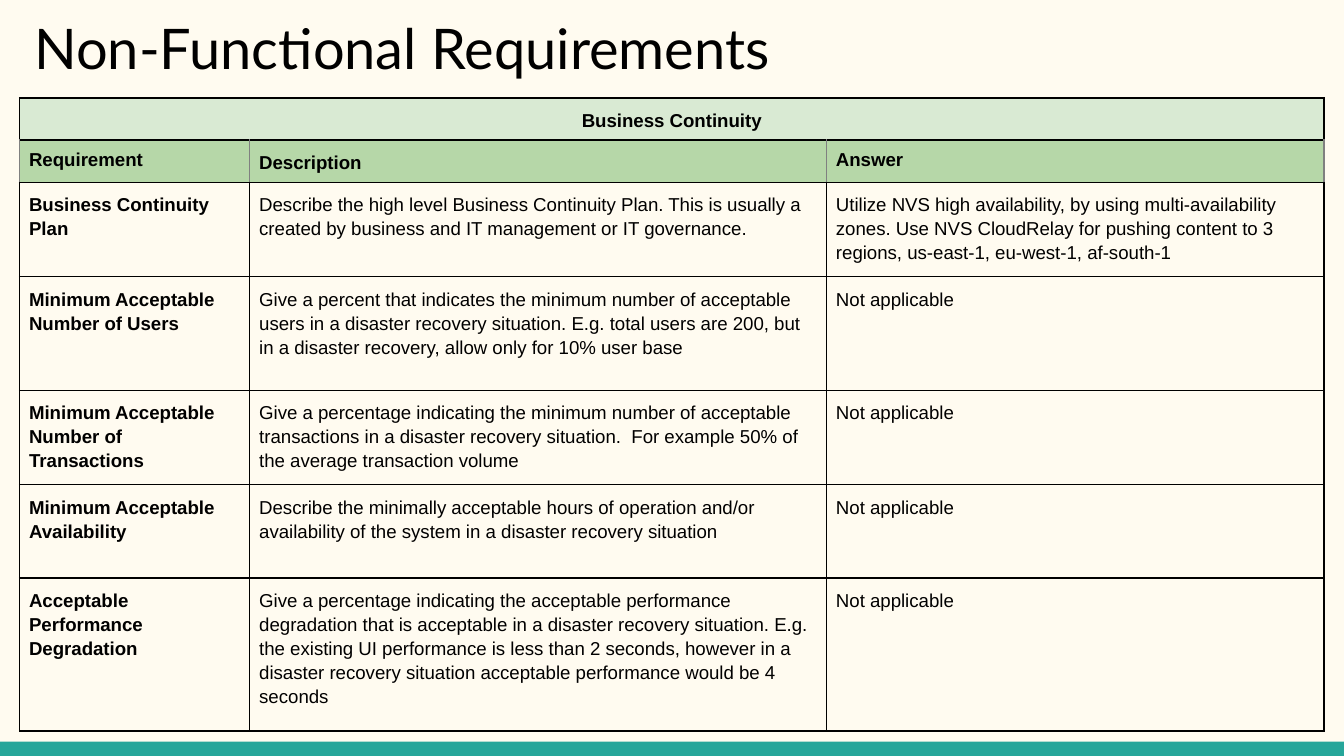
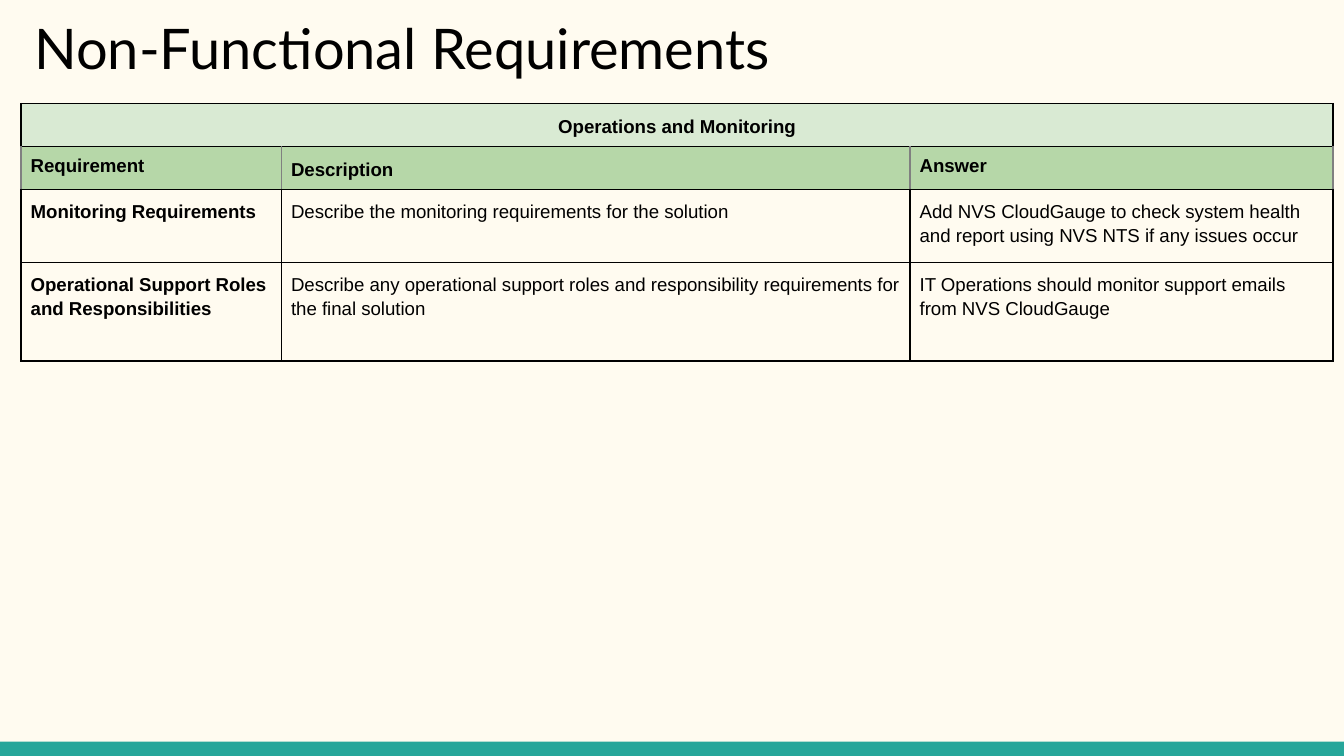
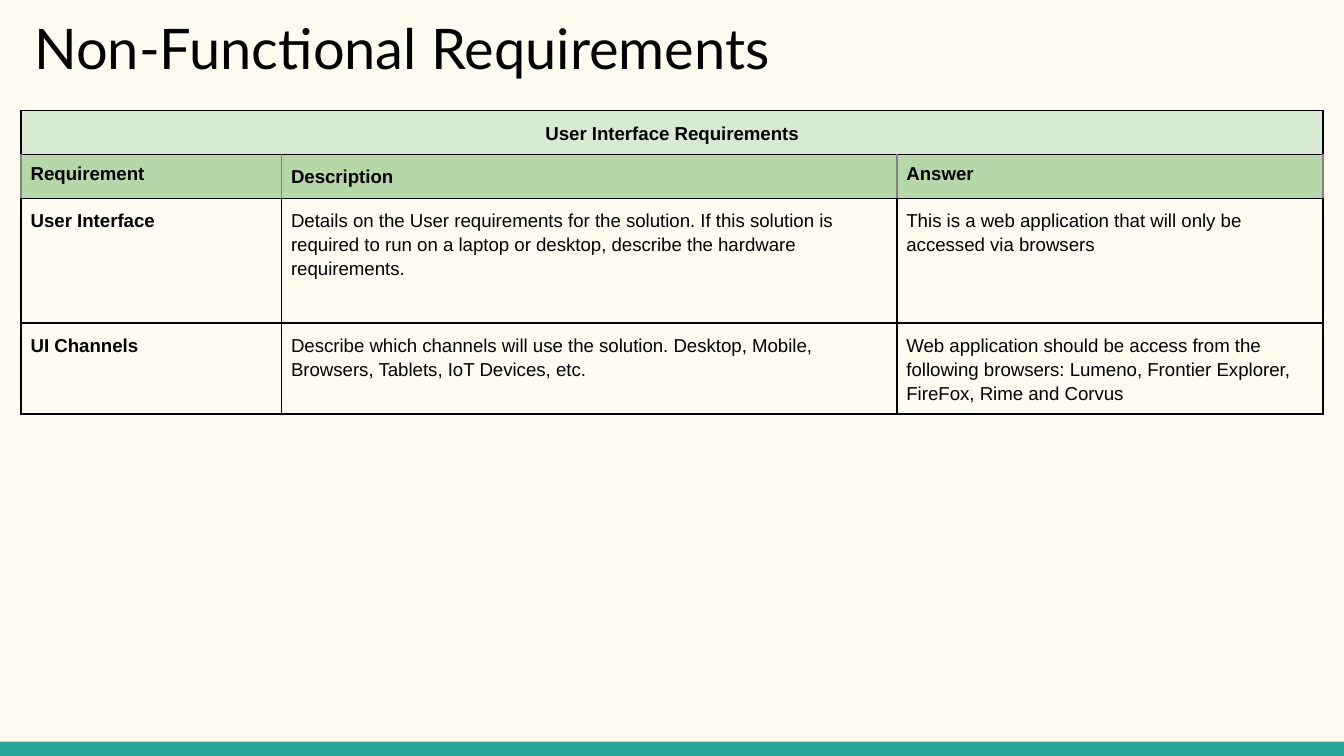
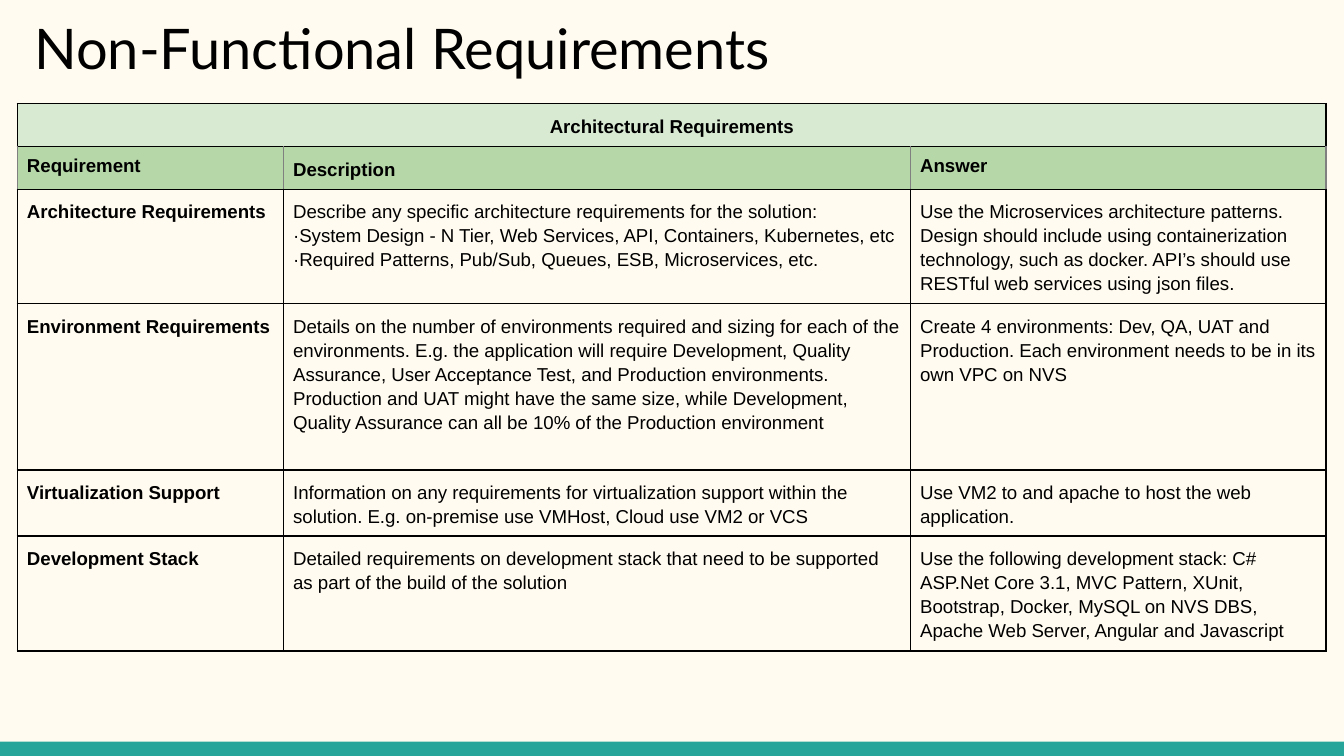
from lxml.etree import SubElement
from pptx import Presentation
from pptx.dml.color import RGBColor
from pptx.enum.shapes import MSO_SHAPE
from pptx.enum.text import MSO_ANCHOR, PP_ALIGN
from pptx.oxml.ns import qn
from pptx.util import Cm, Pt

CREAM = RGBColor(0xFF, 0xFB, 0xF0)
TEAL = RGBColor(0x26, 0xA6, 0x9A)
BLACK = RGBColor(0x00, 0x00, 0x00)
GRAY = RGBColor(0x80, 0x80, 0x80)
PALE_GREEN = RGBColor(0xD9, 0xEA, 0xD3)
GREEN = RGBColor(0xB6, 0xD7, 0xA8)

SLIDE_WIDTH, SLIDE_HEIGHT = Cm(25.4), Cm(14.29)
TITLE = "Non-Functional Requirements"
COLUMN_HEADINGS = ("Requirement", "Description", "Answer")

SECTIONS = [
    {
        "heading": "Business Continuity",
        "left": 0.37,
        "top": 1.85,
        "columns": (4.35, 10.9, 9.4),
        "heading_height": 0.8,
        "row_heights": (1.78, 2.15, 1.78, 1.77, 2.89),
        "requirements": [
            ("Business Continuity Plan",
             "Describe the high level Business Continuity Plan. This is usually a created by "
             "business and IT management or IT governance.",
             "Utilize NVS high availability, by using multi-availability zones. Use NVS "
             "CloudRelay for pushing content to 3 regions, us-east-1, eu-west-1, af-south-1"),
            ("Minimum Acceptable Number of Users",
             "Give a percent that indicates the minimum number of acceptable users in a "
             "disaster recovery situation. E.g. total users are 200, but in a disaster "
             "recovery, allow only for 10% user base",
             "Not applicable"),
            ("Minimum Acceptable Number of Transactions",
             "Give a percentage indicating the minimum number of acceptable transactions in a "
             "disaster recovery situation.  For example 50% of the average transaction volume",
             "Not applicable"),
            ("Minimum Acceptable Availability",
             "Describe the minimally acceptable hours of operation and/or availability of the "
             "system in a disaster recovery situation",
             "Not applicable"),
            ("Acceptable Performance Degradation",
             "Give a percentage indicating the acceptable performance degradation that is "
             "acceptable in a disaster recovery situation. E.g. the existing UI performance is "
             "less than 2 seconds, however in a disaster recovery situation acceptable "
             "performance would be 4 seconds",
             "Not applicable"),
        ],
    },
    {
        "heading": "Operations and Monitoring",
        "left": 0.4,
        "top": 1.96,
        "columns": (4.92, 11.88, 7.99),
        "heading_height": 0.81,
        "row_heights": (1.38, 1.86),
        "requirements": [
            ("Monitoring Requirements",
             "Describe the monitoring requirements for the solution",
             "Add NVS CloudGauge to check system health and report using NVS NTS if any "
             "issues occur"),
            ("Operational Support Roles and Responsibilities",
             "Describe any operational support roles and responsibility requirements for the "
             "final solution",
             "IT Operations should monitor support emails from NVS CloudGauge"),
        ],
    },
    {
        "heading": "User Interface Requirements",
        "left": 0.4,
        "top": 2.09,
        "columns": (4.92, 11.63, 8.05),
        "heading_height": 0.83,
        "row_heights": (2.36, 1.72),
        "requirements": [
            ("User Interface",
             "Details on the User requirements for the solution. If this solution is required "
             "to run on a laptop or desktop, describe the hardware requirements.",
             "This is a web application that will only be accessed via browsers"),
            ("UI Channels",
             "Describe which channels will use the solution. Desktop, Mobile, Browsers, "
             "Tablets, IoT Devices, etc.",
             "Web application should be access from the following browsers: Lumeno, Frontier "
             "Explorer, FireFox, Rime and Corvus"),
        ],
    },
    {
        "heading": "Architectural Requirements",
        "left": 0.33,
        "top": 1.96,
        "columns": (5.03, 11.85, 7.85),
        "heading_height": 0.81,
        "row_heights": (2.16, 3.14, 1.25, 2.17),
        "requirements": [
            ("Architecture Requirements",
             "Describe any specific architecture requirements for the solution:\n"
             "·System Design - N Tier, Web Services, API, Containers, Kubernetes, etc\n"
             "·Required Patterns, Pub/Sub, Queues, ESB, Microservices, etc.",
             "Use the Microservices architecture patterns. Design should include using "
             "containerization technology, such as docker. API’s should use RESTful web "
             "services using json files."),
            ("Environment Requirements",
             "Details on the number of environments required and sizing for each of the "
             "environments. E.g. the application will require Development, Quality Assurance, "
             "User Acceptance Test, and Production environments. Production and UAT might have "
             "the same size, while Development, Quality Assurance can all be 10% of the "
             "Production environment",
             "Create 4 environments: Dev, QA, UAT and Production. Each environment needs to be "
             "in its own VPC on NVS"),
            ("Virtualization Support",
             "Information on any requirements for virtualization support within the solution. "
             "E.g. on-premise use VMHost, Cloud use VM2 or VCS",
             "Use VM2 to and apache to host the web application."),
            ("Development Stack",
             "Detailed requirements on development stack that need to be supported as part of "
             "the build of the solution",
             "Use the following development stack: C# ASP.Net Core 3.1, MVC Pattern, XUnit, "
             "Bootstrap, Docker, MySQL on NVS DBS, Apache Web Server, Angular and Javascript"),
        ],
    },
]


class RequirementsDeck:
    title_font = "Lato"
    body_font = "Arial"
    title_size = Pt(30)
    body_size = Pt(10)
    cell_margin = Cm(0.18)
    cell_bottom_margin = Cm(0.02)
    line_spacing = 1.15

    def __init__(self):
        self.presentation = Presentation()
        self.presentation.slide_width = SLIDE_WIDTH
        self.presentation.slide_height = SLIDE_HEIGHT
        self.slide = None

    def add_slide(self):
        self.slide = self.presentation.slides.add_slide(self.presentation.slide_layouts[6])
        fill = self.slide.background.fill
        fill.solid()
        fill.fore_color.rgb = CREAM
        self.add_footer_band()

    def add_footer_band(self):
        height = Cm(0.27)
        band = self.slide.shapes.add_shape(
            MSO_SHAPE.RECTANGLE, 0, SLIDE_HEIGHT - height, SLIDE_WIDTH, height)
        band.shadow.inherit = False
        band.fill.solid()
        band.fill.fore_color.rgb = TEAL
        band.line.fill.background()

    def add_title(self, text):
        box = self.slide.shapes.add_textbox(Cm(0.4), 0, Cm(23.67), Cm(1.7))
        text_frame = box.text_frame
        text_frame.word_wrap = True
        text_frame.vertical_anchor = MSO_ANCHOR.TOP
        text_frame.margin_left = text_frame.margin_right = Cm(0.25)
        text_frame.margin_top = text_frame.margin_bottom = Cm(0.25)
        text_frame.text = text
        self.format_font(text_frame.paragraphs[0], self.title_font, self.title_size)

    def format_font(self, paragraph, name, size, bold=False):
        for run in paragraph.runs:
            run.font.name = name
            run.font.size = size
            run.font.bold = bold
            run.font.color.rgb = BLACK

    def add_borders(self, cell, side_color):
        properties = cell._tc.get_or_add_tcPr()
        for edge, color in (("L", side_color), ("R", side_color), ("T", BLACK), ("B", BLACK)):
            line = SubElement(properties, qn(f"a:ln{edge}"), w=str(Pt(1)))
            fill = SubElement(line, qn("a:solidFill"))
            SubElement(fill, qn("a:srgbClr"), val=str(color))

    def fill_cell(self, cell, text="", bold=False, fill_color=None, side_color=BLACK,
                  alignment=PP_ALIGN.LEFT, line_spacing=line_spacing):
        cell.margin_left = cell.margin_right = cell.margin_top = self.cell_margin
        cell.margin_bottom = self.cell_bottom_margin
        self.add_borders(cell, side_color)
        if fill_color is None:
            cell.fill.background()
        else:
            cell.fill.solid()
            cell.fill.fore_color.rgb = fill_color
        cell.text_frame.text = text
        for paragraph in cell.text_frame.paragraphs:
            paragraph.alignment = alignment
            paragraph.line_spacing = line_spacing
            self.format_font(paragraph, self.body_font, self.body_size, bold)

    def add_requirements_table(self, section):
        columns = section["columns"]
        heights = (section["heading_height"],) * 2 + section["row_heights"]
        frame = self.slide.shapes.add_table(
            len(heights), len(columns), Cm(section["left"]), Cm(section["top"]),
            Cm(sum(columns)), Cm(sum(heights)))
        table = frame.table
        table.first_row = table.horz_banding = False
        for column, width in zip(table.columns, columns):
            column.width = Cm(width)
        for row, height in zip(table.rows, heights):
            row.height = Cm(height)

        table.cell(0, 0).merge(table.cell(0, len(columns) - 1))
        for index in range(len(columns)):
            self.fill_cell(table.cell(0, index), section["heading"] if index == 0 else "",
                           bold=True, fill_color=PALE_GREEN, alignment=PP_ALIGN.CENTER)
        for index, heading in enumerate(COLUMN_HEADINGS):
            spacing = self.line_spacing if heading == "Description" else 1.0
            self.fill_cell(table.cell(1, index), heading, bold=True, fill_color=GREEN,
                           side_color=GRAY, line_spacing=spacing)
        for row_index, requirement in enumerate(section["requirements"], start=2):
            for index, text in enumerate(requirement):
                self.fill_cell(table.cell(row_index, index), text, bold=index == 0)


def main():
    deck = RequirementsDeck()
    for section in SECTIONS:
        deck.add_slide()
        deck.add_title(TITLE)
        deck.add_requirements_table(section)
    deck.presentation.save("out.pptx")


if __name__ == "__main__":
    main()
